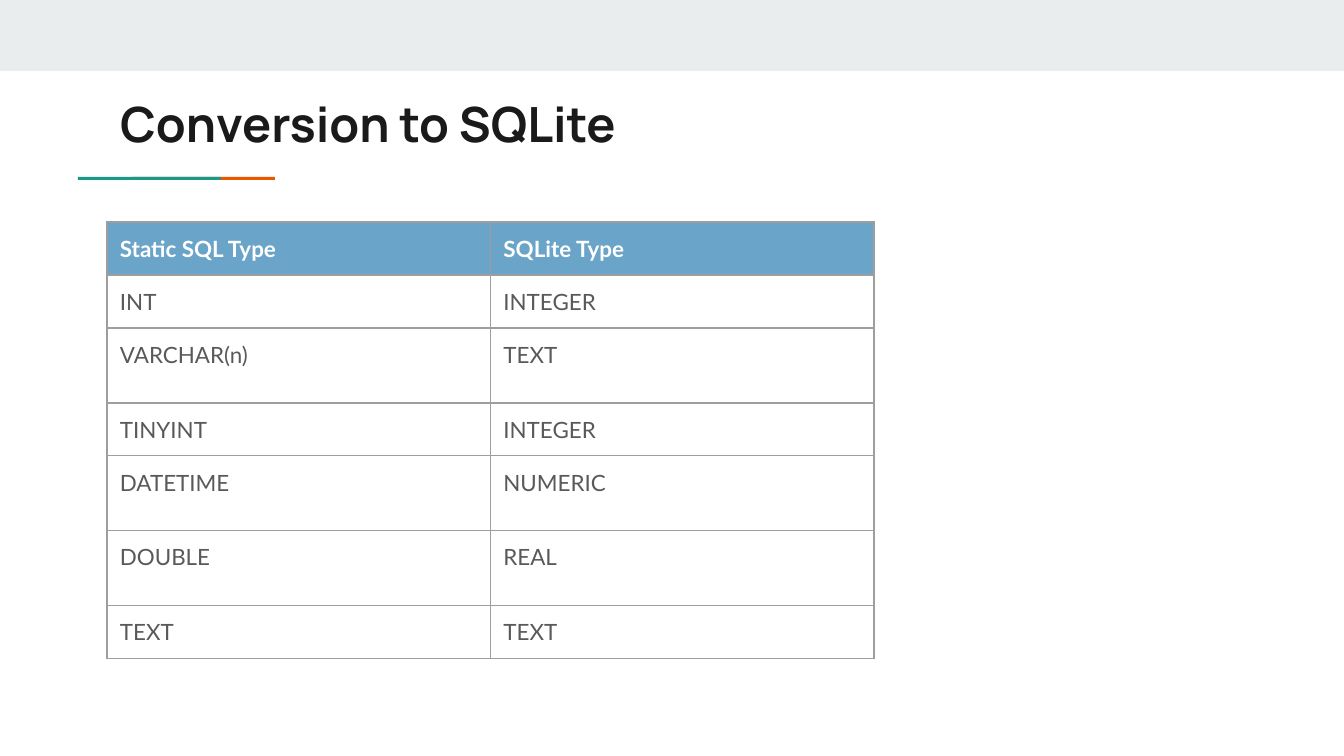
from lxml import etree
from pptx import Presentation
from pptx.dml.color import RGBColor
from pptx.enum.shapes import MSO_SHAPE
from pptx.enum.text import MSO_ANCHOR, MSO_AUTO_SIZE, PP_ALIGN
from pptx.oxml.ns import qn
from pptx.util import Pt

RECTANGLE = MSO_SHAPE.RECTANGLE
TOP = MSO_ANCHOR.TOP
LEFT = PP_ALIGN.LEFT
NO_AUTOFIT = MSO_AUTO_SIZE.NONE

EMU_PER_PX = 914400 / 134.4
SLIDE_WIDTH, SLIDE_HEIGHT = 1344, 756
INSET = 13
TITLE_ONLY_LAYOUT = 5

GREY, ORANGE, GREEN = "E9EDEE", "EB5600", "1A9988"
BLUE, WHITE, INK, BODY, BORDER = "6AA4C8", "FFFFFF", "1A1A1A", "595959", "9E9E9E"

TYPE_ROWS = [
    ("Static SQL Type", "SQLite Type"),
    ("INT", "INTEGER"),
    ("VARCHAR(n)", "TEXT"),
    ("TINYINT", "INTEGER"),
    ("DATETIME", "NUMERIC"),
    ("DOUBLE", "REAL"),
    ("TEXT", "TEXT"),
]
SHORT_ROW, TALL_ROW = 53, 75
TALL_TYPES = {"VARCHAR(n)", "DATETIME", "DOUBLE"}


def px(length):
    return round(length * EMU_PER_PX)


def color(hex_string):
    return RGBColor.from_string(hex_string)


def set_margins(target):
    target.margin_left = target.margin_right = px(INSET)
    target.margin_top = target.margin_bottom = px(INSET)


def format_text(paragraph, font_name, size, hex_string, bold):
    paragraph.alignment = LEFT
    for run in paragraph.runs:
        font = run.font
        font.name, font.size, font.bold = font_name, Pt(size), bold
        font.color.rgb = color(hex_string)


def add_bar(slide, left, top, width, height, hex_string):
    bar = slide.shapes.add_shape(RECTANGLE, px(left), px(top), px(width), px(height))
    bar.shadow.inherit = False
    bar.fill.solid()
    bar.fill.fore_color.rgb = color(hex_string)
    bar.line.fill.background()


def add_accent(slide, left, top, width, height):
    # Two equal bars, the green one overlapping the orange one
    bar_width = 143
    add_bar(slide, left + width - bar_width, top, bar_width, height, ORANGE)
    add_bar(slide, left, top, bar_width, height, GREEN)


def set_title(slide, left, top, width, height):
    title = slide.shapes.title
    title.left, title.top = px(left), px(top)
    title.width, title.height = px(width), px(height)
    frame = title.text_frame
    frame.text = "Conversion to SQLite"
    frame.word_wrap = True
    frame.auto_size = NO_AUTOFIT
    frame.vertical_anchor = TOP
    set_margins(frame)
    format_text(frame.paragraphs[0], "Manrope", 26, INK, True)


def set_borders(cell):
    properties = cell._tc.get_or_add_tcPr()
    for index, side in enumerate(("a:lnL", "a:lnR", "a:lnT", "a:lnB")):
        line = etree.Element(qn(side), w=str(Pt(0.75)))
        fill = etree.SubElement(line, qn("a:solidFill"))
        etree.SubElement(fill, qn("a:srgbClr"), val=BORDER)
        properties.insert(index, line)


def format_cell(cell, text, is_header):
    cell.text = text
    cell.vertical_anchor = TOP
    set_margins(cell)
    if is_header:
        cell.fill.solid()
        cell.fill.fore_color.rgb = color(BLUE)
    else:
        cell.fill.background()
    format_text(cell.text_frame.paragraphs[0], "Lato", 12,
                WHITE if is_header else BODY, is_header)
    set_borders(cell)


def add_type_table(slide, left, top, width):
    heights = [TALL_ROW if row[0] in TALL_TYPES else SHORT_ROW for row in TYPE_ROWS]
    column_count = len(TYPE_ROWS[0])
    table = slide.shapes.add_table(
        len(TYPE_ROWS), column_count, px(left), px(top), px(width), px(sum(heights))
    ).table
    table.horz_banding = False
    for column in table.columns:
        column.width = px(width / column_count)
    for row_index, (texts, height) in enumerate(zip(TYPE_ROWS, heights)):
        table.rows[row_index].height = px(height)
        for column_index, text in enumerate(texts):
            format_cell(table.cell(row_index, column_index), text, row_index == 0)


def main():
    presentation = Presentation()
    presentation.slide_width = px(SLIDE_WIDTH)
    presentation.slide_height = px(SLIDE_HEIGHT)
    slide = presentation.slides.add_slide(presentation.slide_layouts[TITLE_ONLY_LAYOUT])

    # Top band and accent line
    add_bar(slide, 0, 0, SLIDE_WIDTH, 71, GREY)
    add_accent(slide, 78, 177, 197, 3)

    # Heading and type mapping
    set_title(slide, 107, 81, 1130, 79)
    add_type_table(slide, 107, 222, 767)

    presentation.save("out.pptx")


if __name__ == "__main__":
    main()
